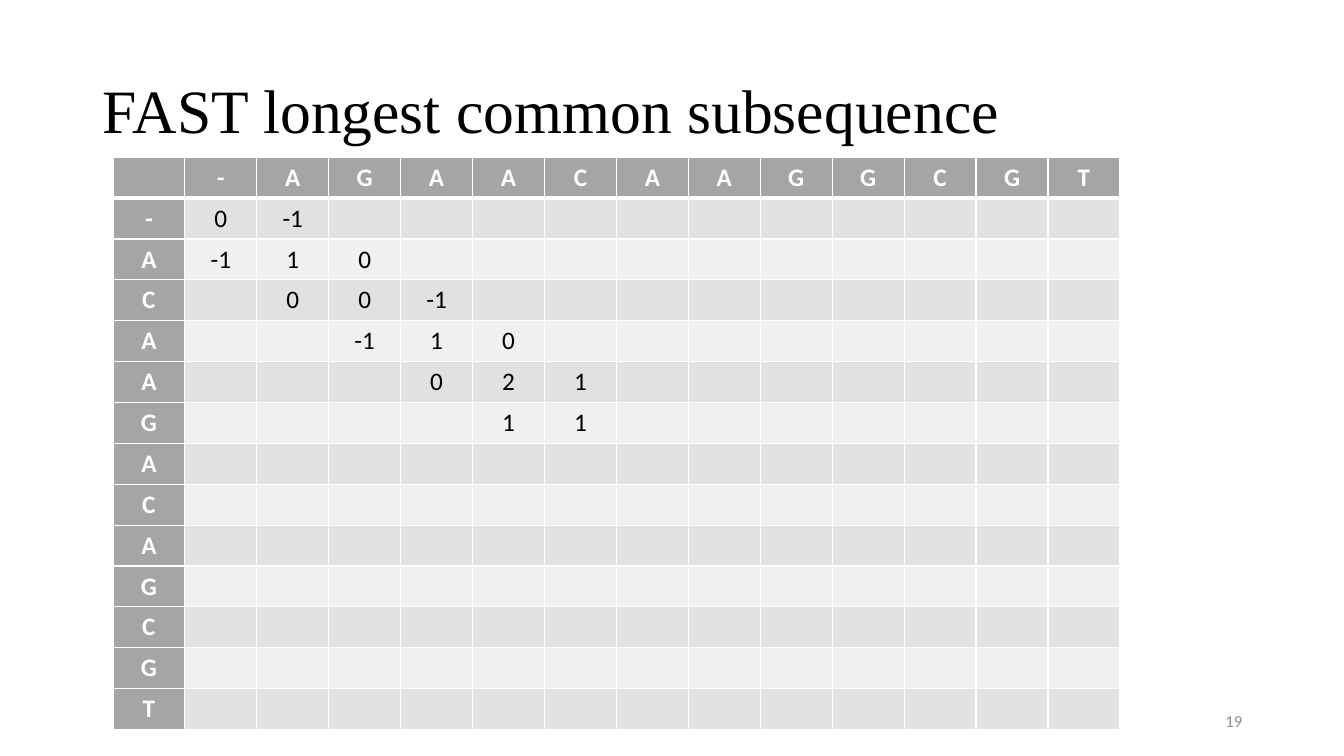
from dataclasses import dataclass

from lxml.etree import SubElement
from pptx import Presentation
from pptx.dml.color import RGBColor
from pptx.enum.text import MSO_ANCHOR, MSO_AUTO_SIZE, PP_ALIGN
from pptx.oxml.ns import qn
from pptx.util import Inches, Pt

TITLE = "FAST longest common subsequence"
PAGE_NUMBER = "19"
ACROSS = "-AGAACAAGGCGT"
DOWN = "-ACAAGACAGCGT"
# For each filled row: the first filled column, then the scores
SCORES = [
    (0, ["0", "-1"]),
    (0, ["-1", "1", "0"]),
    (1, ["0", "0", "-1"]),
    (2, ["-1", "1", "0"]),
    (3, ["0", "2", "1"]),
    (4, ["1", "1"]),
]

SLIDE_SIZE = (13.33, 7.5)
TITLE_BOX = (0.92, 0.4, 11.5, 1.45)
NUMBER_BOX = (9.42, 6.95, 3, 0.4)
TABLE_BOX = (1.12, 1.56, 9.99, 5.68)


@dataclass(frozen=True)
class Theme:
    heading_font: str = "Times New Roman"
    body_font: str = "Calibri"
    title_size: int = 44
    cell_size: int = 18
    number_size: int = 12
    ink: str = "000000"
    muted: str = "8C8C8C"
    white: str = "FFFFFF"
    header: str = "A5A5A5"
    bands: tuple = ("E1E1E1", "F0F0F0")
    thin: int = 1
    thick: int = 3


THEME = Theme()


def write(frame, text, *, size, color, font=THEME.body_font, bold=False,
          align=PP_ALIGN.CENTER, line_spacing=None):
    paragraph = frame.paragraphs[0]
    paragraph.alignment = align
    paragraph.line_spacing = line_spacing
    run = paragraph.add_run()
    run.text = text
    run.font.name = font
    run.font.size = Pt(size)
    run.font.bold = bold
    run.font.color.rgb = RGBColor.from_string(color)


def set_borders(cell, top, bottom):
    properties = cell._tc.get_or_add_tcPr()
    widths = {"lnL": THEME.thin, "lnR": THEME.thin, "lnT": top, "lnB": bottom}
    for side, width in widths.items():
        line = SubElement(properties, qn(f"a:{side}"), w=str(Pt(width)))
        fill = SubElement(line, qn("a:solidFill"))
        SubElement(fill, qn("a:srgbClr"), val=THEME.white)


def add_title(slide):
    title = slide.shapes.title
    title.left, title.top, title.width, title.height = map(Inches, TITLE_BOX)
    frame = title.text_frame
    frame.auto_size = MSO_AUTO_SIZE.NONE
    frame.vertical_anchor = MSO_ANCHOR.MIDDLE
    write(frame, TITLE, size=THEME.title_size, color=THEME.ink,
          font=THEME.heading_font, align=PP_ALIGN.LEFT, line_spacing=0.9)


def add_page_number(slide):
    frame = slide.shapes.add_textbox(*map(Inches, NUMBER_BOX)).text_frame
    frame.word_wrap = True
    frame.vertical_anchor = MSO_ANCHOR.MIDDLE
    write(frame, PAGE_NUMBER, size=THEME.number_size, color=THEME.muted,
          align=PP_ALIGN.RIGHT)


def score_grid():
    """Return all table texts, with both sequences as headings."""
    grid = [["", *ACROSS]] + [[letter] + [""] * len(ACROSS) for letter in DOWN]
    for row, (start, scores) in zip(grid[1:], SCORES):
        row[start + 1:start + 1 + len(scores)] = scores
    return grid


def add_score_table(slide):
    grid = score_grid()
    rows, columns = len(grid), len(grid[0])
    table = slide.shapes.add_table(rows, columns, *map(Inches, TABLE_BOX)).table
    for column in table.columns:
        column.width = Inches(TABLE_BOX[2] / columns)
    for row in table.rows:
        row.height = Inches(TABLE_BOX[3] / rows)

    for r, texts in enumerate(grid):
        for c, text in enumerate(texts):
            cell = table.cell(r, c)
            heading = r == 0 or c == 0
            set_borders(cell, top=THEME.thick if r == 1 else THEME.thin,
                        bottom=THEME.thick if r == 0 else THEME.thin)
            cell.fill.solid()
            color = THEME.header if heading else THEME.bands[(r - 1) % 2]
            cell.fill.fore_color.rgb = RGBColor.from_string(color)
            if text:
                write(cell.text_frame, text, size=THEME.cell_size, bold=heading,
                      color=THEME.white if heading else THEME.ink)


def main():
    presentation = Presentation()
    presentation.slide_width, presentation.slide_height = map(Inches, SLIDE_SIZE)
    slide = presentation.slides.add_slide(presentation.slide_layouts[5])
    add_title(slide)
    add_page_number(slide)
    add_score_table(slide)
    presentation.save("out.pptx")


if __name__ == "__main__":
    main()
